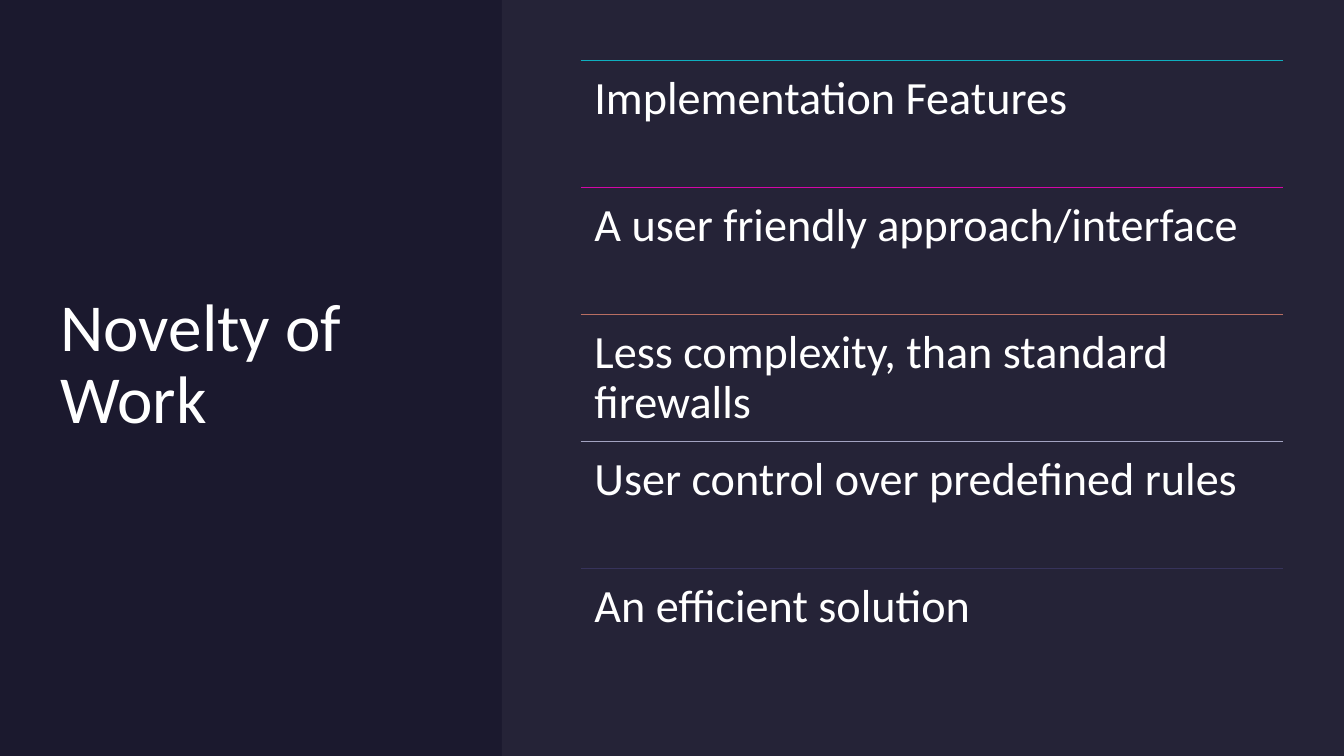
import dataclasses

import lxml.etree
import pptx
import pptx.dml.color
import pptx.enum.shapes
import pptx.enum.text
import pptx.oxml.ns
import pptx.util

Pt = pptx.util.Pt
qn = pptx.oxml.ns.qn


@dataclasses.dataclass(frozen=True)
class Theme:
    back: str = "1B192E"
    panel: str = "E1E1EF"
    text: str = "FFFFFF"
    font: str = "Calibri"
    head: int = 48
    body: int = 33
    rule: int = 1
    alpha: int = 5


THEME = Theme()
WIDE, HIGH = 960, 540
LEFT, TOP, SPAN, STEP = 414.72, 43.2, 501.84, 90.72
ITEMS = [
    ("Implementation Features\u00a0".strip(), "0FAFBF"),
    ("A user friendly approach/interface", "D407A6"),
    ("Less complexity, than standard firewalls", "B86E62"),
    ("User control over predefined rules", "A3A3C1"),
    ("An efficient solution", "37335B"),
]


def color(code):
    return pptx.dml.color.RGBColor.from_string(code)


def write(frame, text, size, inset, anchor):
    frame.word_wrap = True
    frame.auto_size = pptx.enum.text.MSO_AUTO_SIZE.NONE
    frame.vertical_anchor = anchor
    frame.margin_left = frame.margin_right = Pt(inset)
    frame.margin_top = frame.margin_bottom = Pt(inset)
    para = frame.paragraphs[0]
    para.alignment = pptx.enum.text.PP_ALIGN.LEFT
    para.line_spacing = 0.9
    run = para.add_run()
    run.text = text
    run.font.name = THEME.font
    run.font.size = Pt(size)
    run.font.color.rgb = color(THEME.text)


def add_block(slide, left, width, code):
    block = slide.shapes.add_shape(
        pptx.enum.shapes.MSO_SHAPE.RECTANGLE, Pt(left), 0, Pt(width), Pt(HIGH))
    block.shadow.inherit = False
    block.fill.solid()
    block.fill.fore_color.rgb = color(code)
    block.line.fill.background()
    return block


def fade(block, percent):
    tint = block._element.spPr.find(qn("a:solidFill"))[0]
    lxml.etree.SubElement(tint, qn("a:alpha"), val=str(percent * 1000))


def add_title(slide, text):
    title = slide.shapes.title
    title.left, title.top = Pt(43.2), Pt(43.2)
    title.width, title.height = Pt(280.8), Pt(436.32)
    write(title.text_frame, text, THEME.head, 0,
          pptx.enum.text.MSO_ANCHOR.MIDDLE)
    return title


def add_rule(slide, top, code):
    rule = slide.shapes.add_connector(
        pptx.enum.shapes.MSO_CONNECTOR.STRAIGHT,
        Pt(LEFT), Pt(top), Pt(LEFT + SPAN), Pt(top))
    rule.line.color.rgb = color(code)
    rule.line.width = Pt(THEME.rule)
    lxml.etree.SubElement(rule._element.spPr, qn("a:effectLst"))


def add_item(slide, top, text):
    box = slide.shapes.add_textbox(Pt(LEFT), Pt(top), Pt(SPAN), Pt(STEP))
    write(box.text_frame, text, THEME.body, 9.9,
          pptx.enum.text.MSO_ANCHOR.TOP)


def main():
    deck = pptx.Presentation()
    deck.slide_width, deck.slide_height = Pt(WIDE), Pt(HIGH)
    slide = deck.slides.add_slide(deck.slide_layouts[5])
    slide.background.fill.solid()
    slide.background.fill.fore_color.rgb = color(THEME.back)

    title = add_title(slide, "Novelty of Work")
    base = add_block(slide, 0, WIDE, THEME.back)
    title._element.addprevious(base._element)
    panel = add_block(slide, 358.4, WIDE - 358.4, THEME.panel)
    fade(panel, THEME.alpha)

    for row, (text, code) in enumerate(ITEMS):
        top = TOP + row * STEP
        add_rule(slide, top, code)
        add_item(slide, top, text)

    deck.save("out.pptx")


if __name__ == "__main__":
    main()
